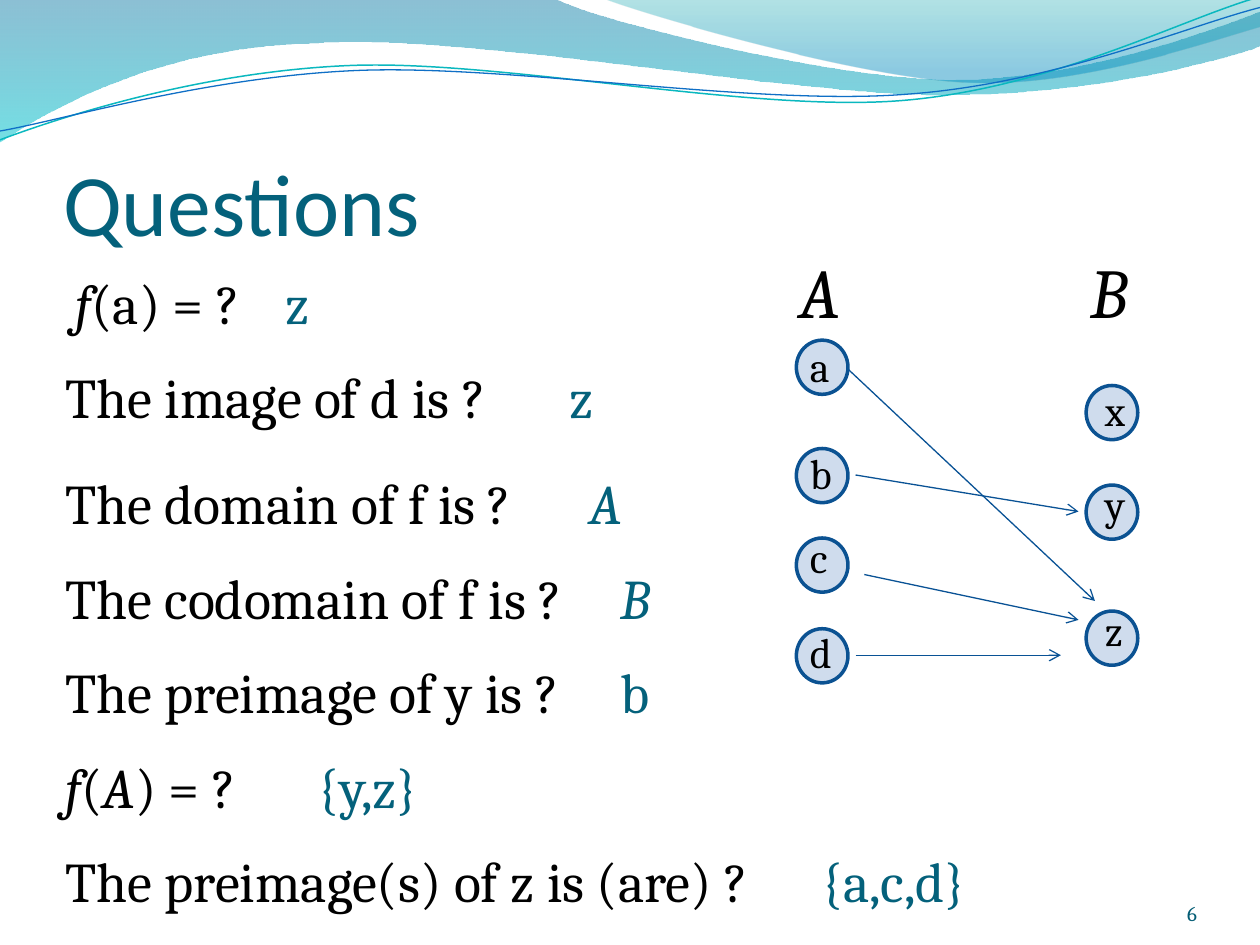
import dataclasses
import math
import typing

import lxml.etree
import pptx
import pptx.dml.color
import pptx.enum.shapes
import pptx.enum.text
import pptx.oxml.ns
import pptx.util

Inches = pptx.util.Inches
Pt = pptx.util.Pt
RGB = pptx.dml.color.RGBColor
Anchor = pptx.enum.text.MSO_ANCHOR
Align = pptx.enum.text.PP_ALIGN
AutoSize = pptx.enum.text.MSO_AUTO_SIZE
qn = pptx.oxml.ns.qn

BLACK = RGB(0x00, 0x00, 0x00)
TEAL = RGB(0x04, 0x61, 0x7B)
NUMBER_TEAL = RGB(0x04, 0x5D, 0x75)
NODE_FILL = RGB(0x4F, 0x81, 0xBD)
NODE_LINE = RGB(0x0B, 0x52, 0x92)
ARROW = RGB(0x09, 0x52, 0x95)
WAVE_BLUE = RGB(0x00, 0x74, 0xA1)
WAVE_AQUA = RGB(0x00, 0xC6, 0xCF)
CREST_TEAL = RGB(0x00, 0xA1, 0xA9)
CREST_BLUE = RGB(0x00, 0x8B, 0xBF)
STRAND_AQUA = RGB(0x0A, 0xB8, 0xBF)
STRAND_BLUE = RGB(0x0F, 0x6F, 0xC6)
STRAND_TILT = -2.7

Point = tuple[float, float]
Curve = tuple[float, float, float, float, float, float]


class Stop(typing.NamedTuple):
    position: float
    color: RGB
    opacity: int


class Run(typing.NamedTuple):
    text: str
    italic: bool = False


@dataclasses.dataclass(frozen=True)
class Wave:
    segments: list[Point | Curve]
    stops: tuple[Stop, ...] = ()
    line_color: RGB | None = None
    line_width: float = 0
    tilt: float = 0
    center: Point = (0, 0)


@dataclasses.dataclass(frozen=True)
class Label:
    left: float
    top: float
    width: float
    height: float
    runs: tuple[Run, ...]
    size: int = 32
    color: RGB = BLACK


@dataclasses.dataclass(frozen=True)
class Node:
    letter: str
    circle_top: float
    letter_top: float


@dataclasses.dataclass(frozen=True)
class Domain:
    name: str
    name_left: float
    circle_left: float
    letter_left: float
    nodes: tuple[Node, ...]


WAVES = [
    Wave([(0, 0), (4.4, -0.01), (4.76, 0.17, 6.64, 0.63, 7.58, 0.63),
          (8.53, 0.63, 9.58, 0.26, 10, 0.09), (10.01, 0.36),
          (9.83, 0.44, 8.7, 0.76, 7.46, 0.75), (6.22, 0.75, 3.82, 0.28, 2.57, 0.34),
          (1.29, 0.36, 0.46, 0.83, -0.01, 1.13), (0, 0)],
         stops=(Stop(0, WAVE_BLUE, 45), Stop(1, WAVE_AQUA, 55))),
    Wave([(4.79, -0.01), (5.09, 0.11, 6.82, 0.62, 7.69, 0.65),
          (8.56, 0.69, 9.61, 0.32, 10, 0.21), (10, 0), (4.79, -0.01)],
         stops=(Stop(0, CREST_TEAL, 30), Stop(0.8, CREST_BLUE, 45))),
    Wave([(0, 1.11), (0.48, 0.93, 1.58, 0.57, 2.77, 0.52),
          (3.95, 0.47, 5.93, 0.89, 7.13, 0.8), (8.33, 0.71, 9.38, 0.15, 9.98, -0.02)],
         line_color=STRAND_AQUA, line_width=0.85, tilt=STRAND_TILT, center=(4.99, 0.58)),
    Wave([(0, 1.04), (0.47, 0.96, 1.64, 0.61, 2.83, 0.56),
          (4.03, 0.51, 5.97, 0.84, 7.17, 0.75), (8.36, 0.67, 9.41, 0.21, 10, 0.06)],
         line_color=STRAND_BLUE, line_width=0.75, tilt=STRAND_TILT, center=(5, 0.59)),
]

DOMAINS = [
    Domain("A", 6.25, 6.32, 6.33, (Node("a", 2.7, 2.65), Node("b", 3.56, 3.5),
                                   Node("c", 4.27, 4.17), Node("d", 4.99, 4.92))),
    Domain("B", 8.56, 8.62, 8.67, (Node("x", 3.06, 3), Node("y", 3.85, 3.75),
                                   Node("z", 4.85, 4.75))),
]

MAPPINGS = [((6.79, 3.77), (8.56, 4.06)), ((6.72, 2.92), (8.69, 4.77)),
            ((6.86, 4.56), (8.56, 4.92)), ((6.79, 5.2), (8.42, 5.2))]

QUESTIONS = [
    Label(0.5, 2.08, 4.25, 0.64, (Run("f", True), Run("(a) = ?"))),
    Label(0.42, 2.83, 4.25, 0.64, (Run("The image of d is ?"),)),
    Label(0.42, 3.67, 4.25, 0.64, (Run("The domain of f is ?"),)),
    Label(0.42, 4.42, 4.67, 0.64, (Run("The codomain of f is ?"),)),
    Label(0.42, 5.17, 4.5, 0.64, (Run("The preimage of y is ?"),)),
    Label(0.42, 5.92, 1.75, 0.64, (Run("f", True), Run("("), Run("A", True), Run(") = ?"))),
    Label(0.42, 6.67, 6.58, 0.64, (Run("The preimage(s) of z is (are) ?"),)),
]

ANSWERS = [(2.17, 3.17, Run("z")), (4.42, 0.75, Run("z")), (4.58, 0.67, Run("A", True)),
           (4.83, 0.42, Run("B", True)), (4.83, 0.5, Run("b")), (2.42, 1.25, Run("{y,z}")),
           (6.42, 2.92, Run("{a,c,d}"))]


def set_all(target: typing.Any, **values: typing.Any) -> None:
    for name, value in values.items():
        setattr(target, name, value)


def set_opacity(fill_element: typing.Any, percent: int) -> None:
    color = fill_element.find(qn("a:srgbClr"))
    lxml.etree.SubElement(color, qn("a:alpha")).set("val", str(percent * 1000))


def level(point: Point, wave: Wave) -> Point:
    angle = math.radians(-wave.tilt)
    x, y = point[0] - wave.center[0], point[1] - wave.center[1]
    return (Inches(wave.center[0] + x * math.cos(angle) - y * math.sin(angle)),
            Inches(wave.center[1] + x * math.sin(angle) + y * math.cos(angle)))


def bend(ribbon: typing.Any, segments: list[Point | Curve]) -> None:
    sides = iter(list(ribbon._element.iter(qn("a:lnTo"))))
    for segment in segments[1:]:
        side = next(sides)
        if len(segment) == 6:
            side.addprevious(curve := lxml.etree.Element(qn("a:cubicBezTo")))
            for handle in (side, next(sides), next(sides)):
                curve.append(handle[0])
                handle.getparent().remove(handle)


def draw_wave(shapes: typing.Any, wave: Wave) -> None:
    points = [level(segment[i:i + 2], wave)
              for segment in wave.segments for i in range(0, len(segment), 2)]
    builder = shapes.build_freeform(*points[0])
    builder.add_line_segments(points[1:], close=bool(wave.stops))
    ribbon = builder.convert_to_shape()
    bend(ribbon, wave.segments)
    ribbon.rotation = wave.tilt
    ribbon.shadow.inherit = False
    if wave.stops:
        ribbon.line.fill.background()
        ribbon.fill.gradient()
        ribbon.fill.gradient_angle = 270
        elements = ribbon.fill._xPr.iter(qn("a:gs"))
        for stop, gradient_stop, element in zip(wave.stops, ribbon.fill.gradient_stops, elements):
            gradient_stop.position = stop.position
            gradient_stop.color.rgb = stop.color
            set_opacity(element, stop.opacity)
    else:
        ribbon.fill.background()
        ribbon.line.color.rgb = wave.line_color
        ribbon.line.width = Pt(wave.line_width)


def draw_label(shapes: typing.Any, label: Label) -> typing.Any:
    box = shapes.add_textbox(*map(Inches, (label.left, label.top, label.width, label.height)))
    set_all(box.text_frame, word_wrap=True, auto_size=AutoSize.SHAPE_TO_FIT_TEXT)
    for part in label.runs:
        run = box.text_frame.paragraphs[0].add_run()
        run.text = part.text
        set_all(run.font, name="Cambria", size=Pt(label.size), italic=part.italic)
        run.font.color.rgb = label.color
    return box


def draw_domain(shapes: typing.Any, domain: Domain) -> None:
    draw_label(shapes, Label(domain.name_left, 1.92, 0.61, 0.77, (Run(domain.name, True),), 40))
    for node in domain.nodes:
        circle = shapes.add_shape(
            pptx.enum.shapes.MSO_SHAPE.FLOWCHART_CONNECTOR,
            *map(Inches, (domain.circle_left, node.circle_top, 0.41, 0.43)))
        circle.shadow.inherit = False
        circle.fill.solid()
        circle.fill.fore_color.rgb = NODE_FILL
        set_opacity(circle.fill._xPr.find(qn("a:solidFill")), 27)
        circle.line.color.rgb = NODE_LINE
        circle.line.width = Pt(2)
        draw_label(shapes, Label(domain.letter_left, node.letter_top, 0.27, 0.5,
                                 (Run(node.letter),), 24))


def draw_mapping(shapes: typing.Any, start: Point, end: Point) -> None:
    arrow = shapes.add_connector(pptx.enum.shapes.MSO_CONNECTOR.STRAIGHT,
                                 *map(Inches, start + end))
    arrow.line.color.rgb = ARROW
    arrow.line.width = Pt(0.75)
    lxml.etree.SubElement(arrow.line._get_or_add_ln(), qn("a:tailEnd")).set("type", "arrow")
    lxml.etree.SubElement(arrow._element.spPr, qn("a:effectLst"))


def main() -> None:
    deck = pptx.Presentation()
    set_all(deck, slide_width=Inches(10), slide_height=Inches(7.5))
    shapes = deck.slides.add_slide(deck.slide_layouts[5]).shapes
    for wave in WAVES:
        draw_wave(shapes, wave)

    heading = shapes.title
    set_all(heading, left=Inches(0.5), top=Inches(0.77), width=Inches(9), height=Inches(1.25))
    heading.text_frame.text = "Questions"
    set_all(heading.text_frame, vertical_anchor=Anchor.BOTTOM, auto_size=AutoSize.NONE,
            margin_left=0, margin_top=Inches(0.05), margin_right=0, margin_bottom=0)
    heading_line = heading.text_frame.paragraphs[0]
    heading_line.alignment = Align.LEFT
    set_all(heading_line.runs[0].font, name="Calibri", size=Pt(50))
    heading_line.runs[0].font.color.rgb = TEAL

    for domain in DOMAINS:
        draw_domain(shapes, domain)
    for start, end in MAPPINGS:
        draw_mapping(shapes, start, end)
    for question, (left, width, answer) in zip(QUESTIONS, ANSWERS):
        draw_label(shapes, question)
        draw_label(shapes, Label(left, question.top, width, 0.64, (answer,), color=TEAL))

    page_number = draw_label(shapes, Label(8.67, 6.95, 0.83, 0.4, (Run("6"),), 12, NUMBER_TEAL))
    set_all(page_number.text_frame, vertical_anchor=Anchor.BOTTOM, auto_size=AutoSize.NONE,
            margin_left=0, margin_top=0, margin_right=0, margin_bottom=0)
    page_number.text_frame.paragraphs[0].alignment = Align.RIGHT
    deck.save("out.pptx")


if __name__ == "__main__":
    main()
